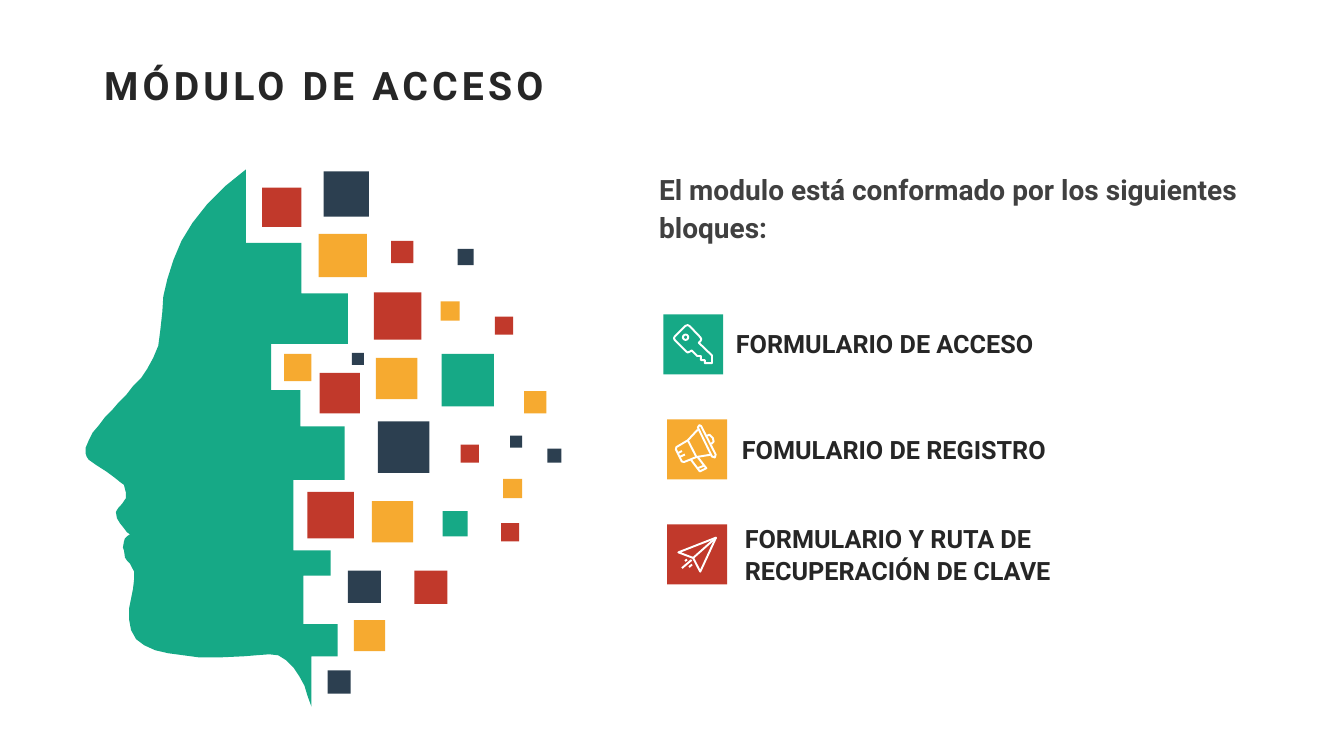
from math import cos, pi, sin

from pptx import Presentation
from pptx.dml.color import RGBColor
from pptx.enum.shapes import MSO_SHAPE
from pptx.enum.text import PP_ALIGN
from pptx.util import Pt

COLORS = {"green": "16A986", "red": "C1392B", "yellow": "F6AA30", "navy": "2C3F50",
          "white": "FFFFFF", "ink": "262626", "gray": "404040"}
FONT = "Roboto"

# Head drawing, on a grid 533 units high
HEAD_GRID = 533
HEAD_STEPS = [
    (159, 0), (159, 73), (214, 73), (214, 123), (260, 123), (260, 173), (184, 173),
    (184, 219), (213, 219), (213, 255), (257, 255), (257, 308), (206, 308), (206, 378),
    (243, 378), (243, 403), (216, 403), (216, 451), (250, 451), (250, 483), (224, 483),
    (224, 533)]
HEAD_PROFILE = [
    # Neck and chin
    (220, 522), (217, 512), (212, 503), (206, 494), (199, 487), (191, 482), (182, 481),
    (169, 482), (157, 483), (135, 484), (112, 484), (97, 482), (82, 480), (69, 477),
    (58, 472), (50, 466), (45, 457), (43, 446), (43, 436), (45, 426), (47, 416),
    (48, 407), (48, 399), (46, 395), (44, 391), (41, 388),
    # Lips
    (39, 385), (38, 378), (37, 375), (38, 369), (39, 366), (41, 364), (44, 362),
    (41, 360), (38, 356), (34, 351), (31, 346), (30, 340), (31, 338), (33, 335),
    (36, 332), (38, 329), (40, 326), (40, 321), (39, 317), (38, 313),
    # Nose
    (34, 310), (29, 306), (21, 300), (10, 293), (3, 288), (1, 285), (0, 282), (0, 276),
    (3, 269), (7, 261), (13, 254), (19, 246), (26, 239), (32, 232), (40, 224),
    # Forehead
    (47, 215), (55, 207), (61, 198), (67, 187), (72, 175), (74, 160), (76, 142),
    (77, 126), (81, 109), (87, 90), (95, 71), (106, 53), (121, 34), (138, 17)]

# Loose squares on the same grid: left, top, width, height
SQUARES = {
    "green": [(353, 183, 52, 52), (354, 339, 25, 25)],
    "red": [(286, 122, 47, 47), (303, 71, 22, 22), (372, 273, 18, 18), (232, 202, 40, 40),
            (175, 18, 39, 39), (412, 351, 18, 18), (406, 146, 18, 18),
            (326, 398, 33, 33), (220, 320, 46, 46)],
    "yellow": [(231, 64, 48, 43), (352, 131, 19, 19), (284, 329, 41, 41),
               (288, 187, 41, 41), (197, 183, 27, 27), (414, 307, 19, 19),
               (435, 220, 22, 22), (266, 447, 31, 31)],
    "navy": [(369, 79, 16, 16), (260, 398, 33, 32), (240, 497, 23, 23), (236, 2, 45, 45),
             (290, 250, 51, 51), (458, 277, 14, 14), (264, 182, 12, 12),
             (421, 264, 12, 12)],
}

# Icons as strokes on a tile of 59 units: points, closed
TILE_GRID = 59
KEY_RING = [(22 + 2.6 * cos(i * pi / 8), 22.5 + 2.6 * sin(i * pi / 8)) for i in range(16)]
KEY = [
    ([(48, 48), (41, 48), (41, 45), (37, 45), (37, 41), (33.5, 41), (28, 35.5),
      (26.5, 36.5), (24, 37.5), (22.5, 36.5), (11.5, 25.5), (10.5, 23.5), (11.5, 21.5),
      (21.5, 11.5), (24, 10.5), (26, 11.5), (36.5, 22.5), (37.5, 24.5), (36.5, 26.5),
      (35, 28), (48, 40.5)], True),
    (KEY_RING, True)]
MEGAPHONE = [
    ([(35, 9), (37, 7), (38.5, 8.5), (46, 39), (44.5, 41.5), (42, 40)], True),
    ([(34.5, 11), (22.5, 19), (10, 23), (9, 25), (12, 38), (14, 39), (27, 37),
      (41, 38)], False),
    ([(22.5, 19), (27, 37)], False),
    ([(42, 19), (44.5, 18.5), (47, 22.5), (47, 26), (44, 28)], False),
    ([(21, 38), (27, 51.5), (34, 50), (28, 37)], False),
    ([(25.5, 48), (32.5, 47)], False),
    ([(11.5, 33), (16.5, 32)], False),
    ([(10.5, 29), (14.5, 28)], False)]
PLANE = [
    ([(48, 13), (11, 27.5), (25.5, 33), (32.5, 46.5)], True),
    ([(25.5, 33), (48, 13)], False),
    ([(24.5, 39.5), (21.5, 42)], False),
    ([(24, 35), (14.5, 43)], False),
    ([(19.5, 34.5), (17.5, 36)], False)]

# Tile left, label offset from the tile, label height, text, colour, icon, icon rotation
BLOCKS = [
    (473.8, 51.8, 8.6, 28.8, "FORMULARIO DE ACCESO", "green", KEY, 0),
    (476.6, 53.3, 9.4, 28.8, "FOMULARIO DE REGISTRO", "yellow", MEGAPHONE, 346.8),
    (476.6, 55.4, -2.2, 56.9, "FORMULARIO Y RUTA DE RECUPERACIÓN DE CLAVE", "red", PLANE, 0)]


def rgb(name):
    return RGBColor.from_string(COLORS[name])


def paint(sp, color):
    sp.shadow.inherit = False
    sp.fill.solid()
    sp.fill.fore_color.rgb = rgb(color)
    sp.line.fill.background()


def add_rect(shapes, x, y, w, h, color):
    sp = shapes.add_shape(MSO_SHAPE.RECTANGLE, Pt(x), Pt(y), Pt(w), Pt(h))
    paint(sp, color)


def add_outline(shapes, x, y, unit, contours):
    """Build one freeform from contours given in grid units."""
    builder = None
    for points, closed in contours:
        pts = [(Pt(x + px * unit), Pt(y + py * unit)) for px, py in points]
        if builder is None:
            builder = shapes.build_freeform(*pts[0])
        else:
            builder.move_to(*pts[0])
        builder.add_line_segments(pts[1:], close=closed)
    return builder.convert_to_shape()


def add_text(s, x, y, w, h, text, size, color, spacing, inset=True):
    tf = s.shapes.add_textbox(Pt(x), Pt(y), Pt(w), Pt(h)).text_frame
    tf.word_wrap = True
    if not inset:
        tf.margin_left = tf.margin_right = tf.margin_top = tf.margin_bottom = 0
    tf.text = text
    p = tf.paragraphs[0]
    p.line_spacing = Pt(spacing)
    font = p.runs[0].font
    font.name, font.size, font.bold = FONT, Pt(size), True
    font.color.rgb = rgb(color)
    return p


def add_title(s, x, y, w, h):
    p = add_text(s, x, y, w, h, "MÓDULO DE ACCESO", 28, "ink", 25)
    p.alignment = PP_ALIGN.CENTER
    p.runs[0].font._element.set("spc", "300")


def add_head(s, x, y, h):
    unit = h / HEAD_GRID
    shapes = s.shapes.add_group_shape().shapes
    paint(add_outline(shapes, x, y, unit, [(HEAD_STEPS + HEAD_PROFILE, True)]), "green")
    for color, squares in SQUARES.items():
        for left, top, sw, sh in squares:
            add_rect(shapes, x + left * unit, y + top * unit, sw * unit, sh * unit, color)


def add_icon(s, x, y, size, color, strokes, rotation):
    shapes = s.shapes.add_group_shape().shapes
    add_rect(shapes, x, y, size, size, color)
    sp = add_outline(shapes, x, y, size / TILE_GRID, strokes)
    sp.shadow.inherit = False
    sp.fill.background()
    sp.line.color.rgb = rgb("white")
    sp.line.width = Pt(1.4)
    sp.rotation = rotation


def add_blocks(s, y, pitch, tile, label_w):
    for i, (x, dx, dy, h, text, color, strokes, rotation) in enumerate(BLOCKS):
        top = y + i * pitch
        p = add_text(s, x + dx, top + dy, label_w, h, text, 18, "ink", 23, inset=False)
        p.space_before = Pt(6)
        add_icon(s, x, top, tile, color, strokes, rotation)


def main():
    prs = Presentation()
    prs.slide_width, prs.slide_height = Pt(960), Pt(540)
    s = prs.slides.add_slide(prs.slide_layouts[6])
    add_title(s, 36, 49, 391, 32.4)
    p = add_text(s, 463.7, 116.6, 445, 59.8,
                 "El modulo está conformado por los siguientes bloques:", 20, "gray", 27)
    p.space_before = Pt(6)
    add_head(s, 61.2, 121, 383.8)
    add_blocks(s, 224.6, 75, 42.8, 262.8)
    prs.save("out.pptx")


if __name__ == "__main__":
    main()
